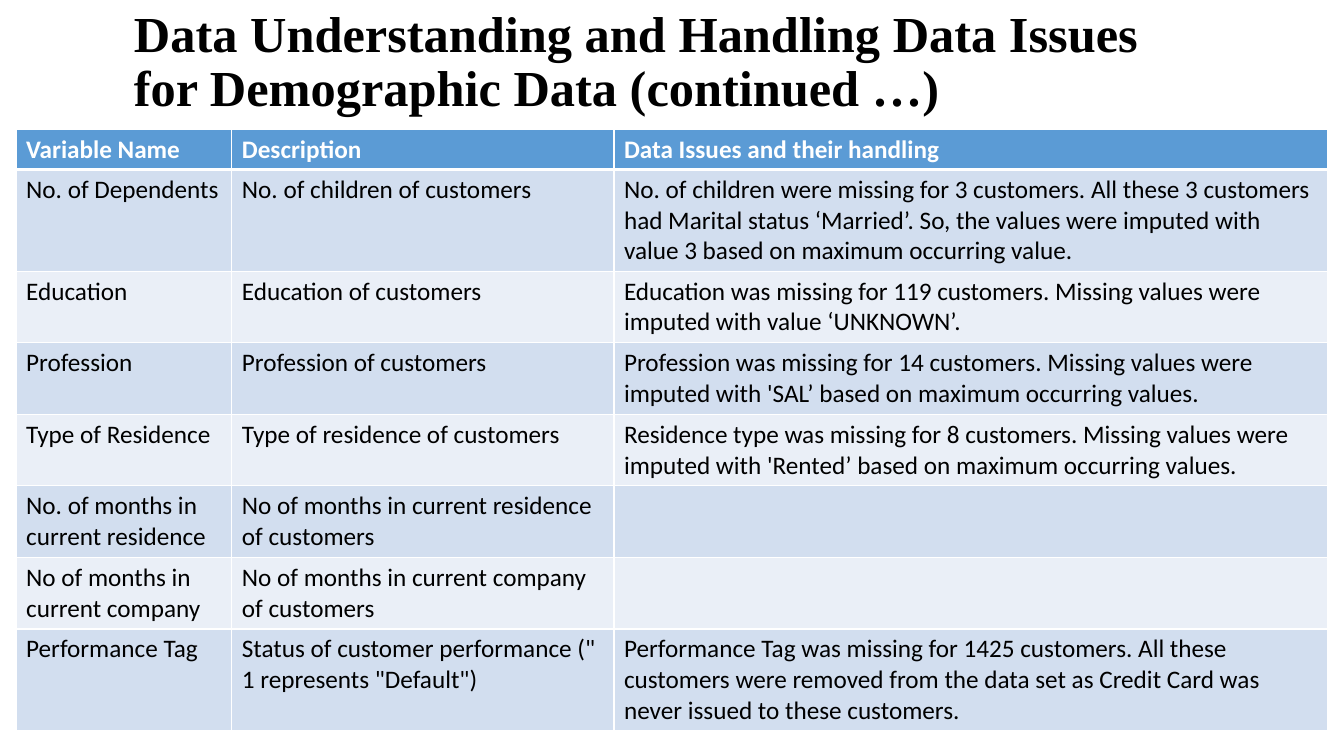
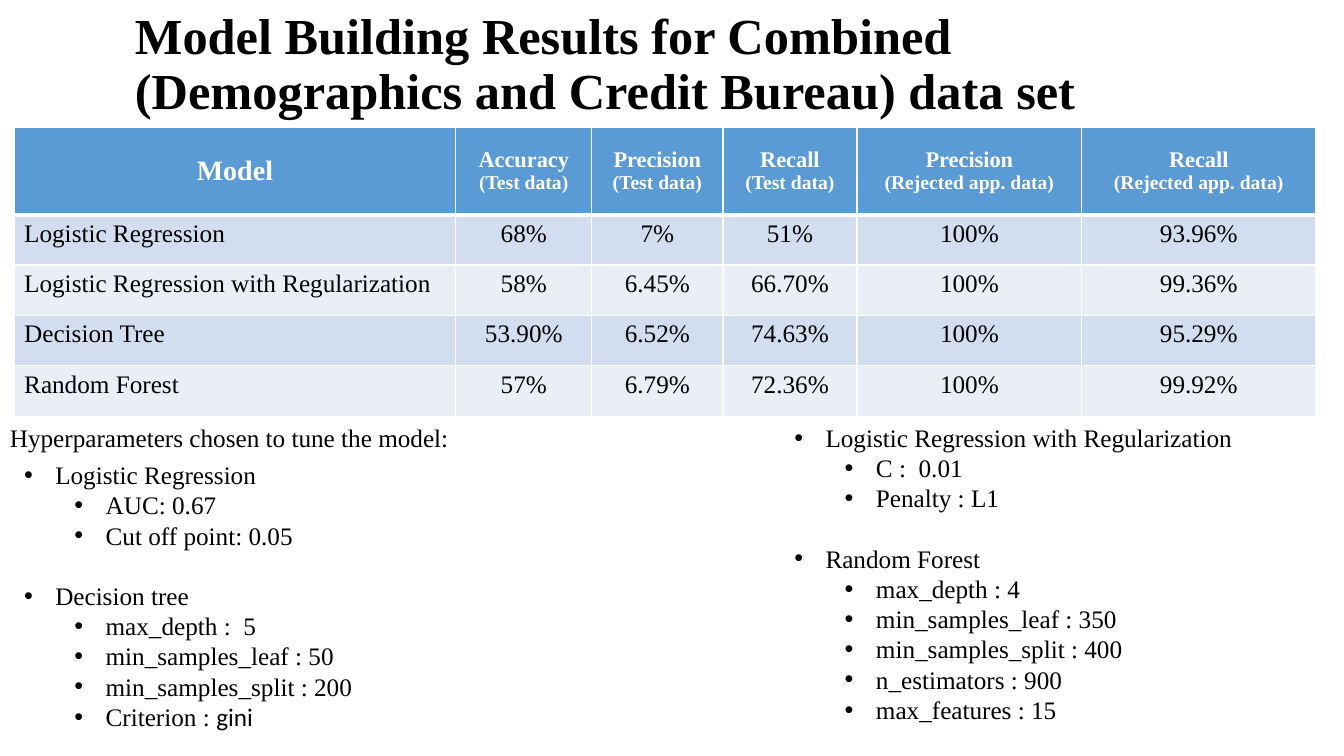
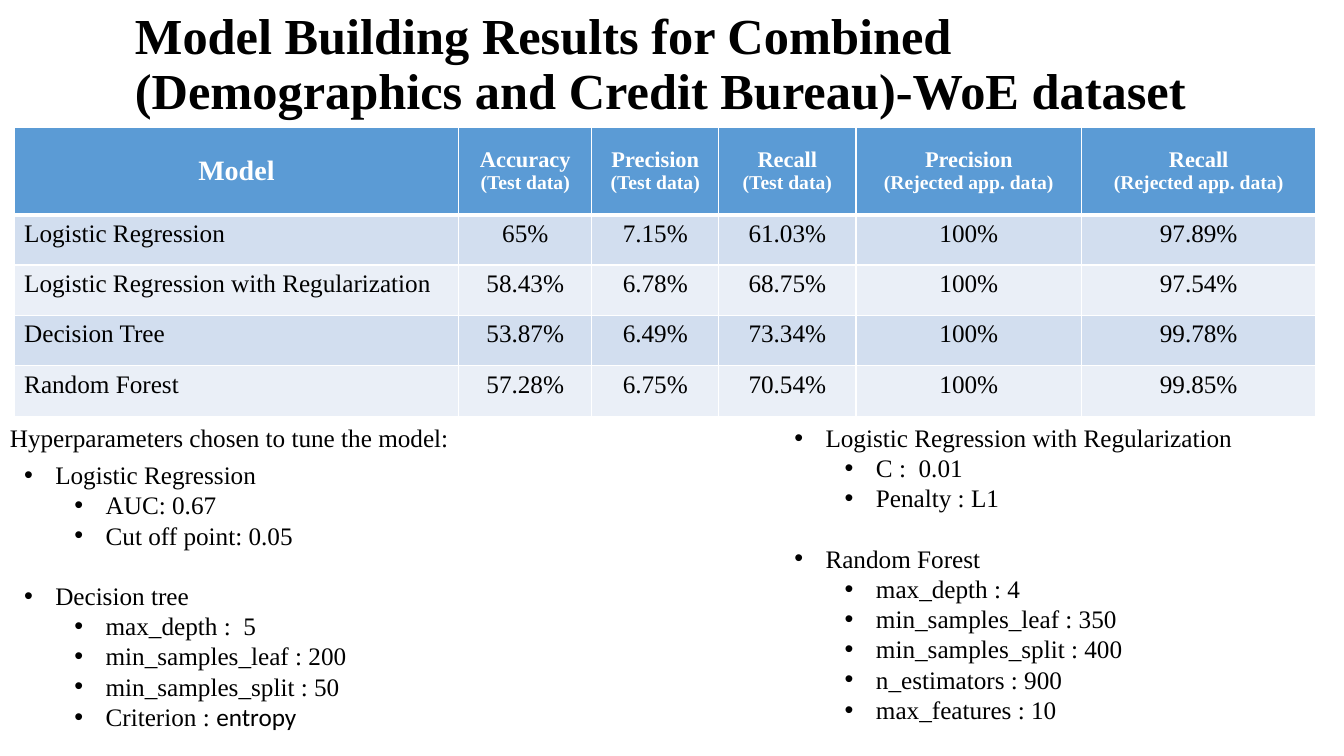
from lxml.etree import SubElement
from pptx import Presentation
from pptx.dml.color import RGBColor
from pptx.enum.text import MSO_ANCHOR as Anchor, PP_ALIGN as Align
from pptx.oxml.ns import qn
from pptx.util import Inches, Pt

COLORS = {"text": "000000", "light": "FFFFFF", "header": "5B9BD5",
          "odd": "D2DEEF", "even": "EAEFF7"}
SERIF, SANS = "Times New Roman", "Calibri"


class Deck:
    """Holds the shared style and draws elements on the current slide."""

    def __init__(self):
        self.deck = Presentation()
        self.deck.slide_width, self.deck.slide_height = Inches(13.33), Inches(7.5)
        self.slide = None

    def add_slide(self):
        self.slide = self.deck.slides.add_slide(self.deck.slide_layouts[6])

    def style(self, paragraph, size=18, face=SERIF, color="text", bold=False):
        font = paragraph.font
        font.size, font.name, font.bold = Pt(size), face, bold
        font.color.rgb = RGBColor.from_string(COLORS[color])

    def frame(self, left, top, width, height):
        box = self.slide.shapes.add_textbox(*map(Inches, (left, top, width, height)))
        box.text_frame.word_wrap = True
        return box.text_frame

    def title(self, text, left=1.24, top=0.18, width=10.19):
        frame = self.frame(left, top, width, 0.94)
        frame.vertical_anchor = Anchor.MIDDLE
        heading = frame.paragraphs[0]
        heading.text, heading.line_spacing = text, 0.9
        self.style(heading, 36, bold=True)

    def note(self, text, left, top, width, height):
        line = self.frame(left, top, width, height).paragraphs[0]
        line.text = text
        self.style(line)

    def bullet(self, paragraph, level):
        paragraph.level = level
        props = paragraph._p.get_or_add_pPr()
        props.set("marL", str(Inches(0.31 + 0.5 * level)))
        props.set("indent", str(Inches(-0.31)))
        SubElement(props, qn("a:buFont")).set("typeface", "Arial")
        SubElement(props, qn("a:buChar")).set("char", "•")

    def bullets(self, groups, left, top, width, height):
        frame = self.frame(left, top, width, height)
        lines = [(name, 0) for name in groups]
        lines = [line for name, level in lines
                 for line in [(name, level), *((item, 1) for item in groups[name])]]
        for index, (text, level) in enumerate(lines):
            line = frame.paragraphs[0] if index == 0 else frame.add_paragraph()
            if index and level == 0:
                line.space_before = Pt(21.5)
            self.bullet(line, level)
            self.style(line)
            label, mark, value = text.partition("Criterion : ")
            line.add_run().text = label or mark
            if mark:
                run = line.add_run()
                run.text, run.font.name = value, SANS

    def borders(self, cell, **widths):
        props = cell._tc.get_or_add_tcPr()
        for index, side in enumerate(("lnL", "lnR", "lnT", "lnB")):
            edge = props.makeelement(qn(f"a:{side}"), {"w": str(Pt(widths.get(side, 1)))})
            fill = SubElement(edge, qn("a:solidFill"))
            SubElement(fill, qn("a:srgbClr")).set("val", COLORS["light"])
            props.insert(index, edge)

    def table(self, rows, left, top, widths, heights, face, centered=False):
        grid = self.slide.shapes.add_table(
            len(rows), len(widths), Inches(left), Inches(top),
            Inches(sum(widths)), Inches(sum(heights))).table
        for column, width in zip(grid.columns, widths):
            column.width = Inches(width)
        for r, (values, height) in enumerate(zip(rows, heights)):
            grid.rows[r].height = Inches(height)
            band = "header" if r == 0 else "odd" if r % 2 else "even"
            for c, text in enumerate(values):
                cell = grid.cell(r, c)
                cell.text = text
                cell.fill.solid()
                cell.fill.fore_color.rgb = RGBColor.from_string(COLORS[band])
                self.borders(cell, lnT=3 if r == 1 else 1, lnB=3 if r == 0 else 1)
                if centered and r == 0:
                    cell.vertical_anchor = Anchor.MIDDLE
                for p, line in enumerate(cell.text_frame.paragraphs):
                    size = 18
                    if centered and r == 0:
                        size = 20 if c == 0 else (16, 14)[p]
                    if centered and (r == 0 or c > 0):
                        line.alignment = Align.CENTER
                    self.style(line, size, face, "light" if r == 0 else "text", r == 0)

    def results(self, title, title_width, widths, scores, leaf, split, criterion, features):
        self.add_slide()
        self.title(title, width=title_width)
        rows = [METRICS] + [[model, *values] for model, values in zip(MODELS, scores)]
        self.table(rows, 0.14, 1.26, widths, [0.87] + [0.5] * 4, SERIF, centered=True)
        self.bullets({
            "Logistic Regression": ["AUC: 0.67", "Cut off point: 0.05"],
            "Decision tree": ["max_depth :  5", f"min_samples_leaf : {leaf}",
                              f"min_samples_split : {split}", f"Criterion : {criterion}"],
        }, 0.14, 4.51, 5.17, 2.83)
        self.bullets({
            "Logistic Regression with Regularization": ["C :  0.01", "Penalty : L1"],
            "Random Forest": ["max_depth : 4", "min_samples_leaf : 350",
                              "min_samples_split : 400", "n_estimators : 900",
                              f"max_features : {features}"],
        }, 7.78, 4.14, 5.27, 3.13)
        self.note("Hyperparameters chosen to tune the model:", 0, 4.14, 7.17, 0.4)


METRICS = ["Model", "Accuracy\n(Test data)", "Precision\n(Test data)", "Recall\n(Test data)",
           "Precision\n(Rejected app. data)", "Recall\n(Rejected app. data)"]
MODELS = ["Logistic Regression", "Logistic Regression with Regularization",
          "Decision Tree", "Random Forest"]
VARIABLES = [
    ["Variable Name", "Description", "Data Issues and their handling"],
    ["No. of Dependents", "No. of children of customers",
     "No. of children were missing for 3 customers. All these 3 customers had Marital status "
     "‘Married’. So, the values were imputed with value 3 based on maximum occurring value."],
    ["Education", "Education of customers",
     "Education was missing for 119 customers. Missing values were imputed with value ‘UNKNOWN’."],
    ["Profession", "Profession of customers",
     "Profession was missing for 14 customers. Missing values were imputed with 'SAL’ "
     "based on maximum occurring values."],
    ["Type of Residence", "Type of residence of customers",
     "Residence type was missing for 8 customers. Missing values were imputed with 'Rented’ "
     "based on maximum occurring values."],
    ["No. of months in current residence", "No of months in current residence of customers", ""],
    ["No of months in current company", "No of months in current company of customers", ""],
    ["Performance Tag", "Status of customer performance (\" 1 represents \"Default\")",
     "Performance Tag was missing for 1425 customers. All these customers were removed from "
     "the data set as Credit Card was never issued to these customers."],
]


def main():
    deck = Deck()
    deck.add_slide()
    deck.title("Data Understanding and Handling Data Issues for Demographic Data (continued …)",
               1.23, 0.16)
    deck.table(VARIABLES, 0.16, 1.28, [2.14, 3.79, 7.08],
               [0.4, 1.01] + [0.71] * 5 + [1.01], SANS)

    deck.results(
        "Model Building Results for Combined (Demographics and Credit Bureau) data set", 10.19,
        [4.38, 1.35, 1.3, 1.33, 2.23, 2.32],
        [["68%", "7%", "51%", "100%", "93.96%"],
         ["58%", "6.45%", "66.70%", "100%", "99.36%"],
         ["53.90%", "6.52%", "74.63%", "100%", "95.29%"],
         ["57%", "6.79%", "72.36%", "100%", "99.92%"]],
        leaf=50, split=200, criterion="gini", features=15)
    deck.results(
        "Model Building Results for Combined (Demographics and Credit Bureau)-WoE dataset", 11.55,
        [4.41, 1.32, 1.26, 1.36, 2.24, 2.32],
        [["65%", "7.15%", "61.03%", "100%", "97.89%"],
         ["58.43%", "6.78%", "68.75%", "100%", "97.54%"],
         ["53.87%", "6.49%", "73.34%", "100%", "99.78%"],
         ["57.28%", "6.75%", "70.54%", "100%", "99.85%"]],
        leaf=200, split=50, criterion="entropy", features=10)
    deck.deck.save("out.pptx")


if __name__ == "__main__":
    main()
